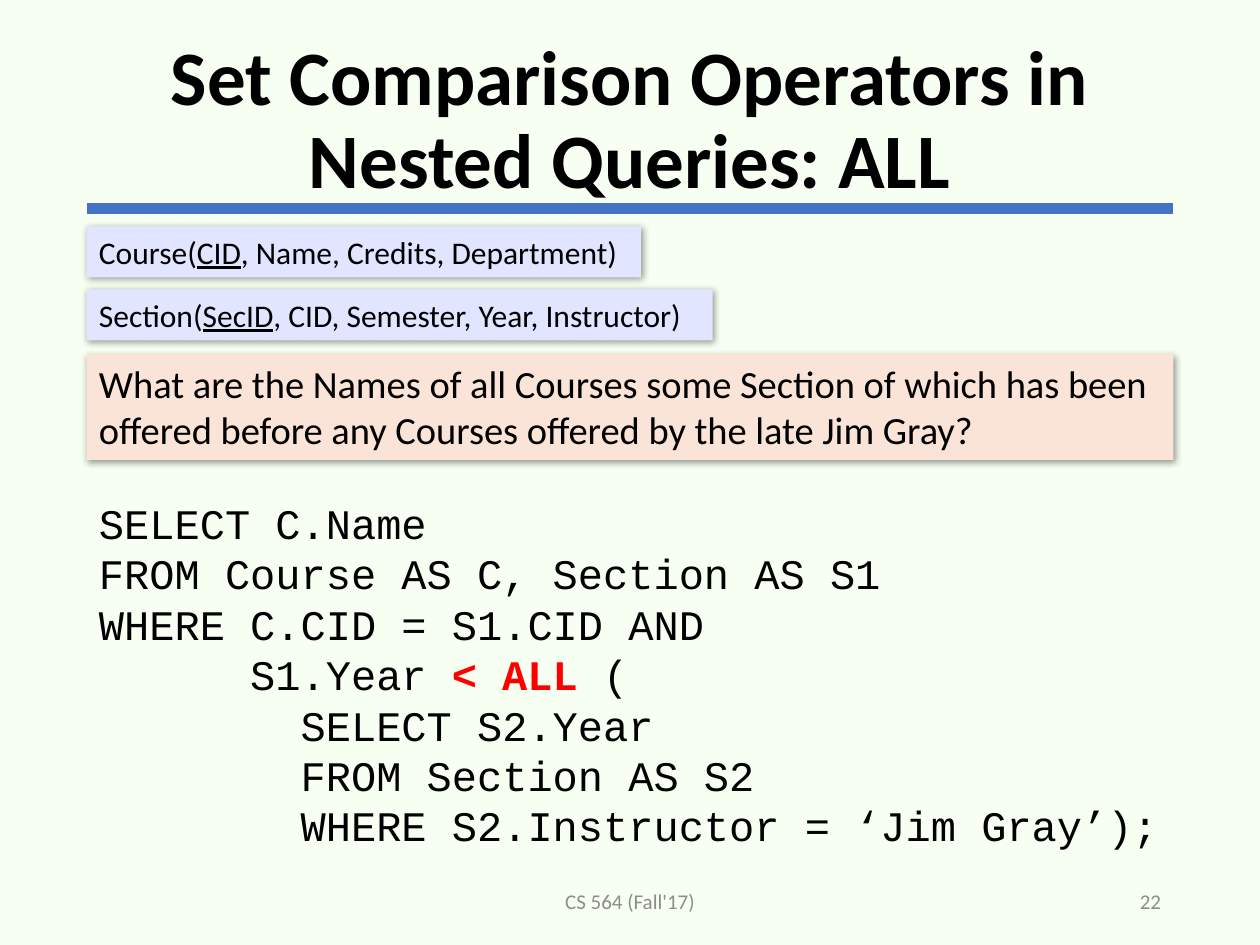
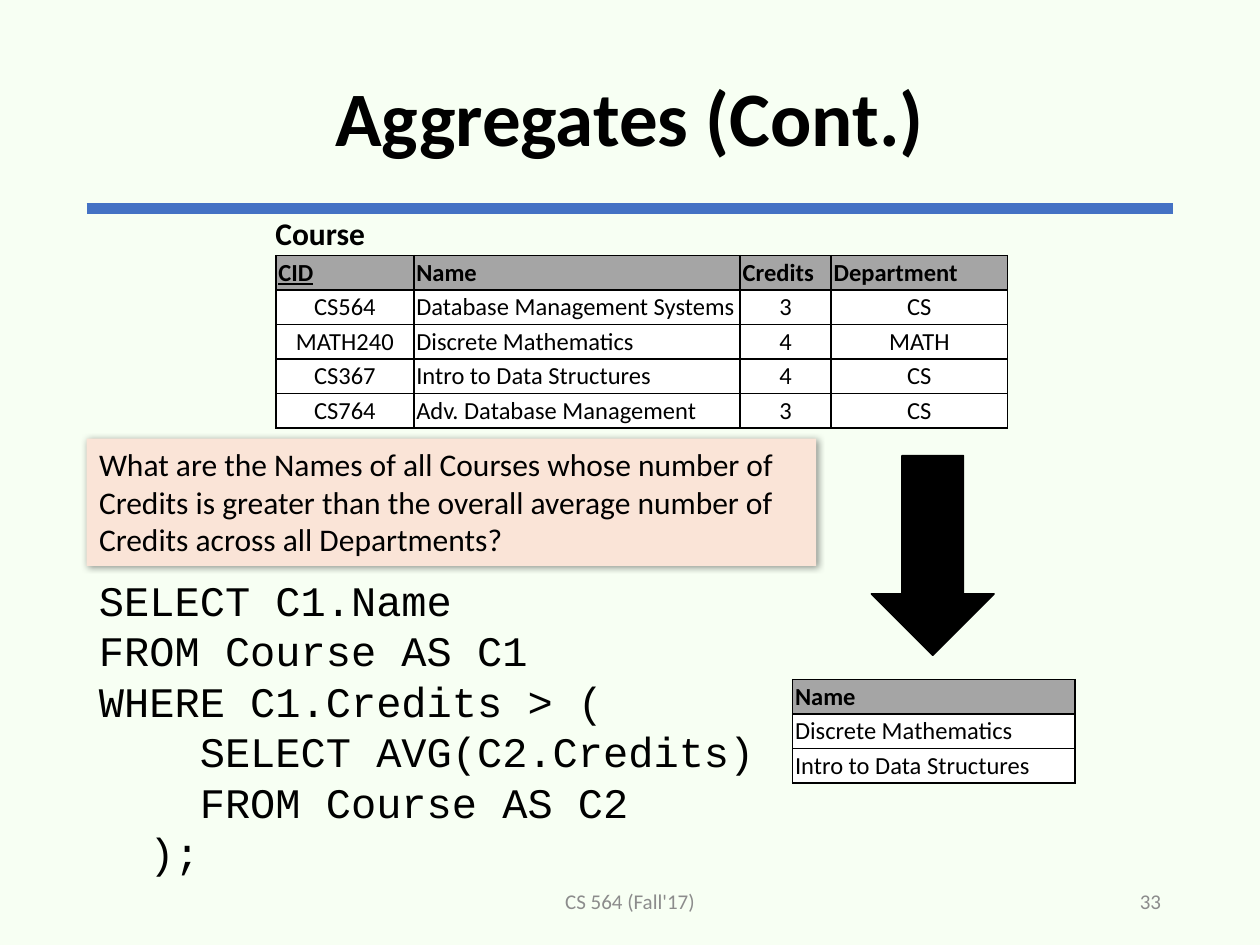
from lxml.etree import SubElement
from pptx import Presentation
from pptx.dml.color import RGBColor
from pptx.enum.shapes import MSO_CONNECTOR, MSO_SHAPE
from pptx.enum.text import MSO_ANCHOR, PP_ALIGN
from pptx.oxml import parse_xml
from pptx.oxml.ns import nsdecls, qn
from pptx.util import Pt

# Shared style
COLORS = {"bg": "F7FFF3", "rule": "4472C4", "text": "000000", "footer": "8C8C8C",
          "question": "FAE4D7", "schema": "E2E5FF", "accent": "FF0000",
          "header": "A5A5A5", "cell": "FFFFFF"}
BODY, CODE = "Calibri", "Courier New"
LEFT, WIDTH = 49.5, 621
FOOTER = "CS 564 (Fall'17)"
KEY = {"underline": True}
HOT = {"bold": True, "color": "accent"}
CENTER, RIGHT = PP_ALIGN.CENTER, PP_ALIGN.RIGHT

# Content: a line is a string or a list of (text, format) runs
ALL_TITLE = "Set Comparison Operators in Nested Queries: ALL"
SCHEMAS = [
    (316.8, [("Course(", {}), ("CID", KEY), (", Name, Credits, Department)", {})]),
    (357.8, [("Section(", {}), ("SecID", KEY),
             (", CID, Semester, Year, Instructor)", {})]),
]
ALL_QUESTION = ("What are the Names of all Courses some Section of which has been "
                "offered before any Courses offered by the late Jim Gray?")
ALL_QUERY = [
    "SELECT C.Name",
    "FROM Course AS C, Section AS S1",
    "WHERE C.CID = S1.CID AND",
    [("      S1.Year ", {}), ("< ALL ", HOT), ("(", {})],
    "        SELECT S2.Year",
    "        FROM Section AS S2",
    "        WHERE S2.Instructor = ‘Jim Gray’);",
]
AVG_TITLE = "Aggregates (Cont.)"
COURSES = [
    ([("CID", KEY)], "Name", "Credits", "Department"),
    ("CS564", "Database Management Systems", "3", "CS"),
    ("MATH240", "Discrete Mathematics", "4", "MATH"),
    ("CS367", "Intro to Data Structures", "4", "CS"),
    ("CS764", "Adv. Database Management", "3", "CS"),
]
RESULT = [("Name",), ("Discrete Mathematics",), ("Intro to Data Structures",)]
AVG_QUESTION = ("What are the Names of all Courses whose number of Credits is greater "
                "than the overall average number of Credits across all Departments?")
AVG_QUERY = [
    "SELECT C1.Name",
    "FROM Course AS C1",
    "WHERE C1.Credits > (",
    "    SELECT AVG(C2.Credits)",
    "    FROM Course AS C2",
    "  );",
]


def rgb(name):
    return RGBColor.from_string(COLORS[name])


def write(tf, lines, size=18, font=BODY, color="text", bold=False,
          align=PP_ALIGN.LEFT, anchor=MSO_ANCHOR.TOP, spacing=None):
    """Fill a text frame, one paragraph per line."""
    tf.word_wrap = True
    tf.vertical_anchor = anchor
    for i, line in enumerate(lines):
        p = tf.paragraphs[0] if i == 0 else tf.add_paragraph()
        p.alignment = align
        if spacing:
            p.line_spacing = spacing
        for text, own in ([(line, {})] if isinstance(line, str) else line):
            r = p.add_run()
            r.text = text
            r.font.name, r.font.size = font, Pt(size)
            r.font.bold = own.get("bold", bold)
            r.font.underline = own.get("underline", False)
            r.font.color.rgb = rgb(own.get("color", color))


def add_text(s, box, lines, **fmt):
    write(s.shapes.add_textbox(*map(Pt, box)).text_frame, lines, **fmt)


def add_card(s, box, line, fill, size=18):
    """Filled rectangle with a soft shadow."""
    sp = s.shapes.add_shape(MSO_SHAPE.RECTANGLE, *map(Pt, box))
    sp.fill.solid()
    sp.fill.fore_color.rgb = rgb(fill)
    sp.line.fill.background()
    sp._element.spPr.append(parse_xml(
        f'<a:effectLst {nsdecls("a")}><a:outerShdw blurRad="{Pt(4)}" dist="{Pt(1)}" '
        'dir="2700000" algn="tl" rotWithShape="0"><a:srgbClr val="000000">'
        '<a:alpha val="40000"/></a:srgbClr></a:outerShdw></a:effectLst>'))
    write(sp.text_frame, [line], size=size)


def add_grid(s, left, top, widths, rows, centered=()):
    """Bordered table with a grey header row."""
    row_height = 19.73
    frame = s.shapes.add_table(len(rows), len(widths), Pt(left), Pt(top),
                               Pt(sum(widths)), Pt(row_height * len(rows)))
    table = frame.table
    for col, width in zip(table.columns, widths):
        col.width = Pt(width)
    for i, row in enumerate(rows):
        table.rows[i].height = Pt(row_height)
        for j, value in enumerate(row):
            cell = table.cell(i, j)
            cell.margin_left = cell.margin_right = Pt(1.44)
            cell.margin_top = cell.margin_bottom = Pt(1.44)
            write(cell.text_frame, [value], size=14, bold=i == 0,
                  align=CENTER if i and j in centered else PP_ALIGN.LEFT)
            tc_pr = cell._tc.get_or_add_tcPr()
            for side in ("L", "R", "T", "B"):
                ln = SubElement(tc_pr, qn(f"a:ln{side}"), w=str(Pt(1)))
                SubElement(SubElement(ln, qn("a:solidFill")), qn("a:srgbClr"),
                           val=COLORS["text"])
            cell.fill.solid()
            cell.fill.fore_color.rgb = rgb("cell" if i else "header")


def add_slide(prs, title, number):
    """Slide with background, rule, title and footer."""
    s = prs.slides.add_slide(prs.slide_layouts[6])
    s.background.fill.solid()
    s.background.fill.fore_color.rgb = rgb("bg")
    rule = s.shapes.add_connector(MSO_CONNECTOR.STRAIGHT, Pt(LEFT), Pt(119.3),
                                  Pt(LEFT + WIDTH), Pt(119.3))
    rule.line.color.rgb = rgb("rule")
    rule.line.width = Pt(6)
    SubElement(rule._element.spPr, qn("a:effectLst"))
    add_text(s, (LEFT, 17.3, WIDTH, 104.4), [title], size=44, bold=True,
             align=CENTER, anchor=MSO_ANCHOR.MIDDLE, spacing=0.9)
    for left, width, text, align in ((238.5, 243, FOOTER, CENTER),
                                     (508.5, 162, str(number), RIGHT)):
        add_text(s, (left, 500.5, width, 28.8), [text], size=12, color="footer",
                 align=align, anchor=MSO_ANCHOR.MIDDLE)
    return s


def build_all_slide(prs):
    s = add_slide(prs, ALL_TITLE, 22)
    for i, (width, schema) in enumerate(SCHEMAS):
        add_card(s, (LEFT, 129.4 + 36 * i, width, 29.1), schema, "schema")
    add_card(s, (LEFT, 202.3, WIDTH, 60.6), ALL_QUESTION, "question", size=22)
    add_text(s, (LEFT, 280.8, WIDTH, 211), ALL_QUERY, size=24, font=CODE)


def build_average_slide(prs):
    s = add_slide(prs, AVG_TITLE, 33)
    add_text(s, (150.3, 119, 72.7, 29.1), ["Course"], bold=True)
    add_grid(s, 157.7, 146, (78.8, 186.5, 52, 100.8), COURSES, centered=(0, 2, 3))
    add_card(s, (LEFT, 250.6, 416.9, 72.7), AVG_QUESTION, "question")
    add_text(s, (LEFT, 324.7, 432, 175.7), AVG_QUERY, size=24, font=CODE)

    # Arrow from the course table to the result
    arrow = s.shapes.add_shape(MSO_SHAPE.DOWN_ARROW, Pt(498), Pt(260.4),
                               Pt(70), Pt(114))
    arrow.shadow.inherit = False
    arrow.fill.solid()
    arrow.fill.fore_color.rgb = arrow.line.color.rgb = rgb("text")
    arrow.line.width = Pt(1)
    add_grid(s, 452.9, 388.3, (161.3,), RESULT)


def main():
    prs = Presentation()
    prs.slide_width, prs.slide_height = Pt(720), Pt(540)
    build_all_slide(prs)
    build_average_slide(prs)
    prs.save("out.pptx")


if __name__ == "__main__":
    main()
